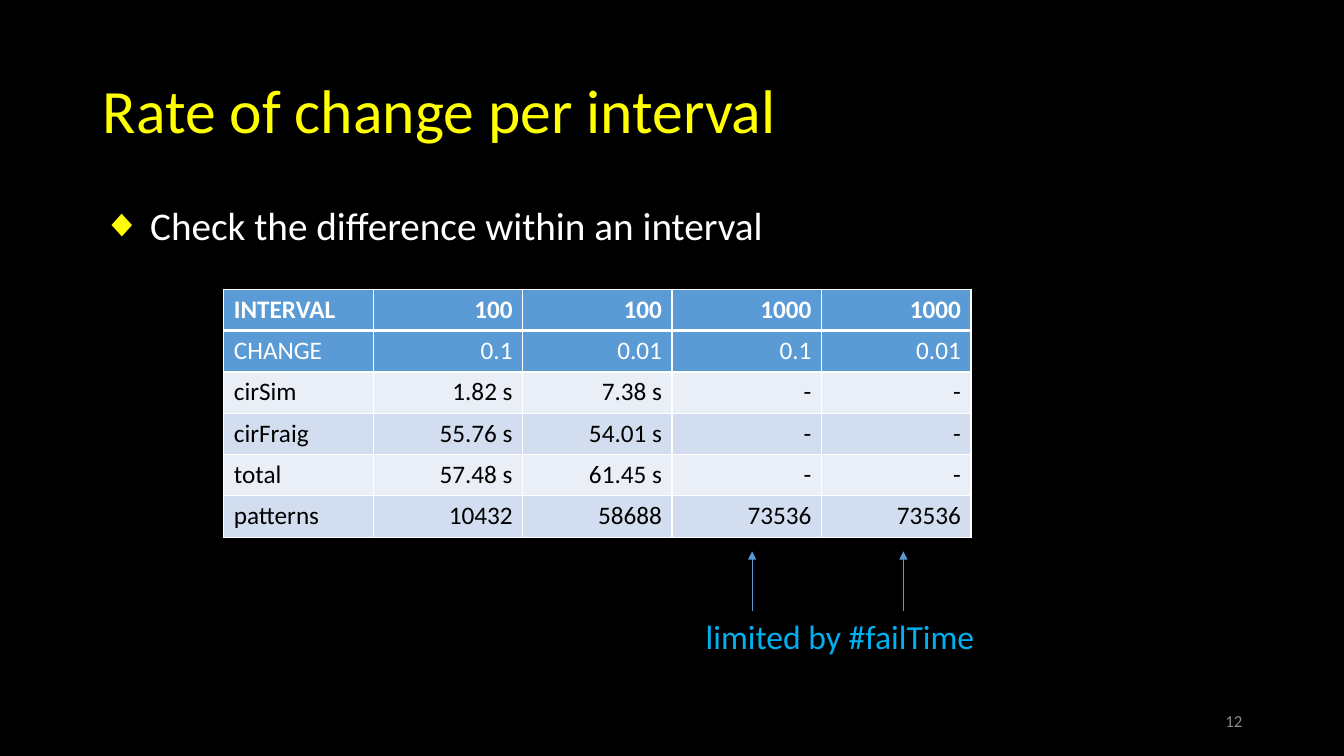
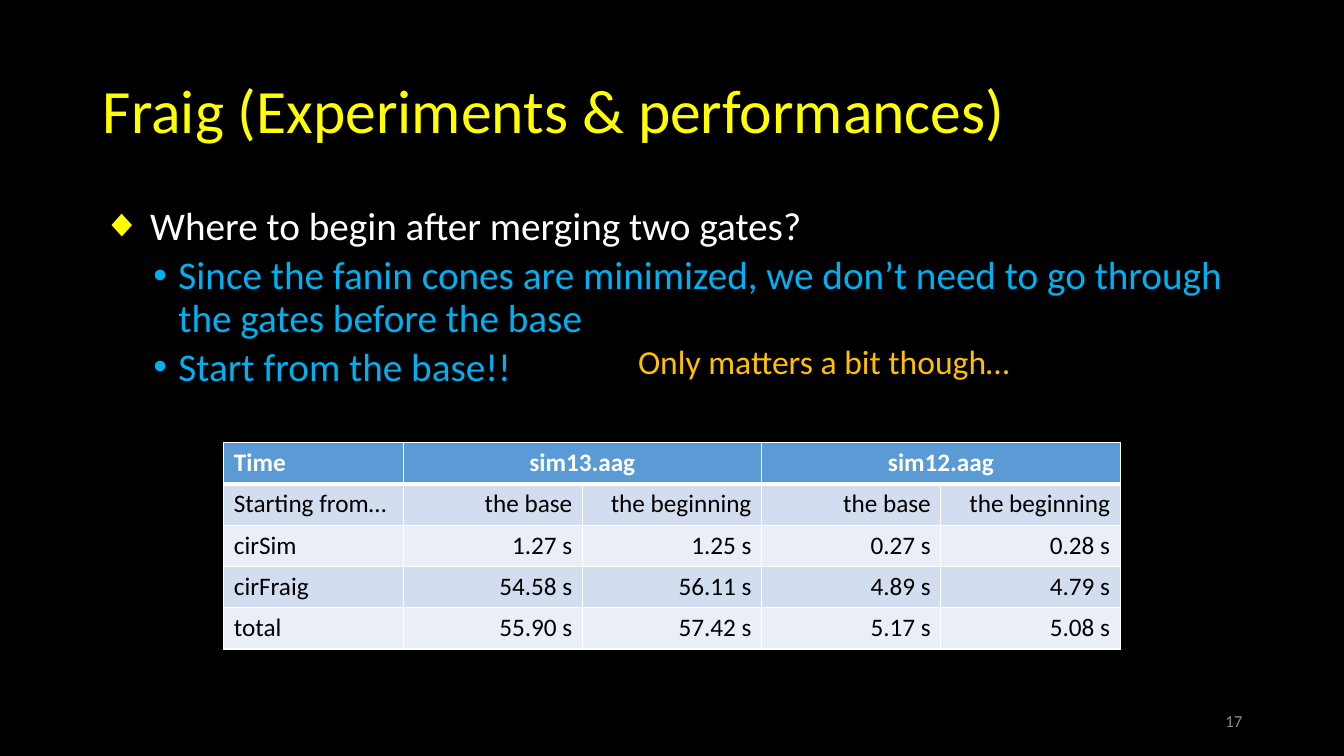
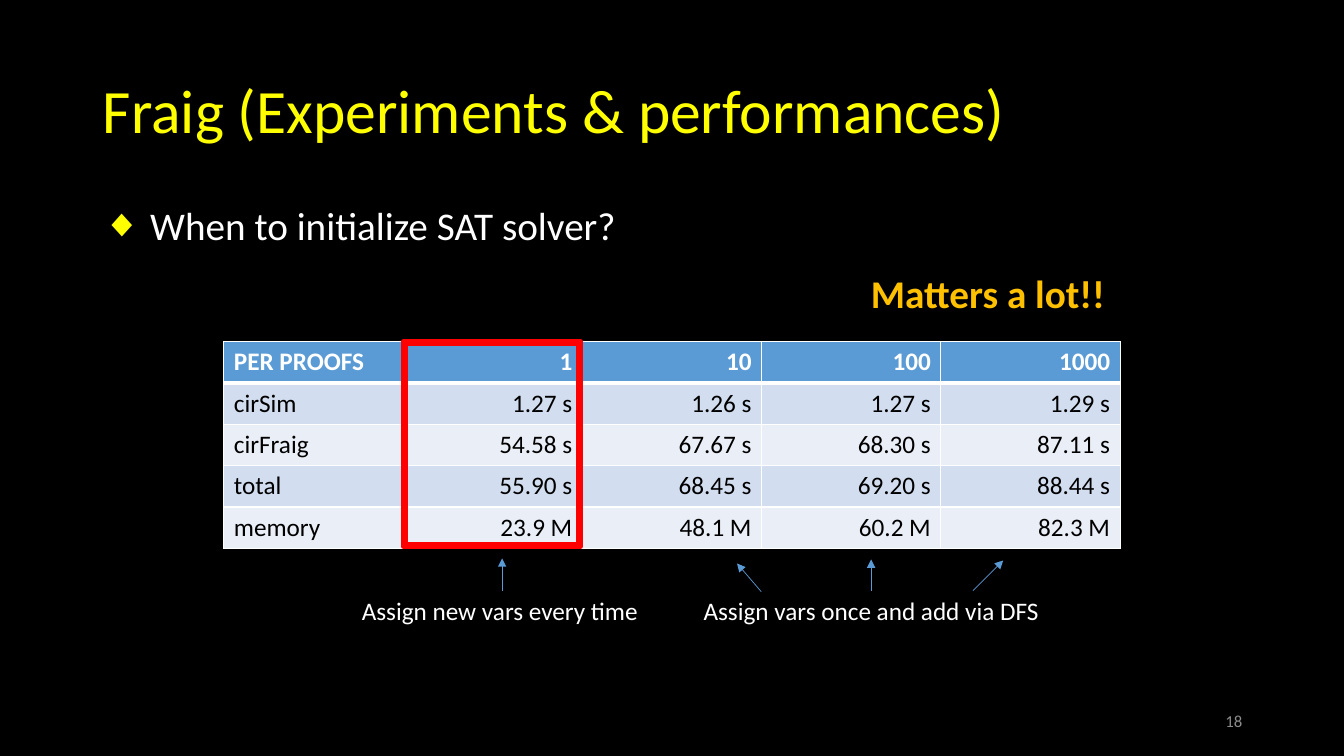
from lxml import etree
from pptx import Presentation
from pptx.dml.color import RGBColor
from pptx.enum.shapes import MSO_CONNECTOR, MSO_SHAPE
from pptx.enum.text import MSO_ANCHOR, MSO_AUTO_SIZE, PP_ALIGN
from pptx.oxml.ns import qn
from pptx.util import Inches, Pt

FONT = "Calibri"
BLACK, WHITE, YELLOW = "000000", "FFFFFF", "FFFF00"
BLUE, CYAN, AMBER, RED, GRAY = "5B9BD5", "00B0F0", "FFC000", "FF0000", "8C8C8C"
BANDS = ("EAEFF7", "D2DEEF")
TITLE_BOX = (0.92, 0.4, 11.5, 1.45)
BODY_BOX = (0.92, 2, 11.5, 4.76)
NUMBER_BOX = (9.42, 6.95, 3, 0.4)
TABLE_LEFT, ROW_HEIGHT = 2.22, 0.41
# Bullet character, bullet colour, text colour, left margin, hanging indent, space before
LEVELS = (("◆", YELLOW, WHITE, 0.47, 0.47, 10),
          ("•", CYAN, CYAN, 0.75, 0.25, 5))


def rgb(value):
    """Turn a hex string into a colour."""
    return RGBColor.from_string(value)


def inches(box):
    """Convert a box or a point to lengths."""
    return [Inches(value) for value in box]


def write(paragraph, text, size, color, bold=False, align=PP_ALIGN.LEFT):
    """Put one formatted run into a paragraph."""
    paragraph.alignment = align
    run = paragraph.add_run()
    run.text = text
    run.font.name, run.font.size, run.font.bold = FONT, Pt(size), bold
    run.font.color.rgb = rgb(color)


def add_child(parent, tag, **attributes):
    """Append a DrawingML element to a parent."""
    return etree.SubElement(parent, qn(tag), attributes)


def place(placeholder, box, anchor):
    """Move a placeholder to its box and return its text frame."""
    placeholder.left, placeholder.top, placeholder.width, placeholder.height = inches(box)
    frame = placeholder.text_frame
    frame.auto_size, frame.vertical_anchor = MSO_AUTO_SIZE.NONE, anchor
    return frame


def add_bullets(frame, items):
    """Fill the body with (level, text) items."""
    for index, (level, text) in enumerate(items):
        mark, mark_color, color, margin, hanging, before = LEVELS[level]
        paragraph = frame.add_paragraph() if index else frame.paragraphs[0]
        paragraph.level = level
        paragraph.line_spacing, paragraph.space_before = 0.9, Pt(before)
        write(paragraph, text, 28, color)
        props = paragraph._p.get_or_add_pPr()
        props.set("marL", str(Inches(margin)))
        props.set("indent", str(-Inches(hanging)))
        add_child(add_child(props, "a:buClr"), "a:srgbClr", val=mark_color)
        add_child(props, "a:buFont", typeface="Arial")
        add_child(props, "a:buChar", char=mark)


def add_note(slide, box, text, size, color, bold=False):
    """Add a one-line label that does not wrap."""
    frame = slide.shapes.add_textbox(*inches(box)).text_frame
    frame.word_wrap, frame.auto_size = False, MSO_AUTO_SIZE.SHAPE_TO_FIT_TEXT
    write(frame.paragraphs[0], text, size, color, bold)


def add_arrow(slide, start, end):
    """Draw a thin arrow that points at its end."""
    arrow = slide.shapes.add_connector(MSO_CONNECTOR.STRAIGHT, *inches(start + end))
    arrow.line.color.rgb, arrow.line.width = rgb(BLUE), Pt(0.5)
    add_child(arrow.line._get_or_add_ln(), "a:tailEnd", type="triangle")
    add_child(arrow._element.spPr, "a:effectLst")


def set_borders(cell, top, bottom):
    """Give a cell white borders, with its own top and bottom widths."""
    props = cell._tc.get_or_add_tcPr()
    for side, width in (("L", 1), ("R", 1), ("T", top), ("B", bottom)):
        line = add_child(props, "a:ln" + side, w=str(Pt(width)))
        add_child(add_child(line, "a:solidFill"), "a:srgbClr", val=WHITE)


def add_table(slide, top, width, rows, blue_rows=1, merges=()):
    """Add a table; merges lists header column pairs shown as one centred cell."""
    count = len(rows[0])
    box = (TABLE_LEFT, top, width, ROW_HEIGHT * len(rows))
    table = slide.shapes.add_table(len(rows), count, *inches(box)).table
    table.horz_banding = False
    for column in table.columns:
        column.width = Inches(width / count)
    for first, last in merges:
        table.cell(0, first).merge(table.cell(0, last))
    centred = {first for first, _ in merges}
    for r, row in enumerate(rows):
        table.rows[r].height = Inches(ROW_HEIGHT)
        for c, text in enumerate(row):
            cell = table.cell(r, c)
            set_borders(cell, 3 if r == 1 else 1, 3 if r == 0 else 1)
            cell.fill.solid()
            cell.fill.fore_color.rgb = rgb(BLUE if r < blue_rows else BANDS[r % 2])
            if cell.is_spanned:
                continue
            align = PP_ALIGN.RIGHT if c else PP_ALIGN.LEFT
            if r == 0 and c in centred:
                align = PP_ALIGN.CENTER
            color = WHITE if r < blue_rows else BLACK
            write(cell.text_frame.paragraphs[0], text, 18, color, r == 0, align)


def add_highlight(slide, box):
    """Mark a table column with a red frame."""
    frame = slide.shapes.add_shape(MSO_SHAPE.FRAME, *inches(box))
    frame.adjustments[0] = 0.013
    frame.shadow.inherit = False
    frame.fill.solid()
    frame.fill.fore_color.rgb = frame.line.color.rgb = rgb(RED)
    frame.line.width = Pt(3.5)


def add_base(prs, title, bullets, number):
    """Add a slide with its title, bullet list and slide number."""
    slide = prs.slides.add_slide(prs.slide_layouts[1])
    heading = place(slide.shapes.title, TITLE_BOX, MSO_ANCHOR.MIDDLE).paragraphs[0]
    heading.line_spacing = 0.9
    write(heading, title, 44, YELLOW)
    add_bullets(place(slide.placeholders[1], BODY_BOX, MSO_ANCHOR.TOP), bullets)
    footer = slide.shapes.add_textbox(*inches(NUMBER_BOX)).text_frame
    footer.word_wrap, footer.vertical_anchor = True, MSO_ANCHOR.MIDDLE
    write(footer.paragraphs[0], str(number), 12, GRAY, align=PP_ALIGN.RIGHT)
    return slide


def build_interval_slide(prs):
    """Compare change rates per interval."""
    slide = add_base(prs, "Rate of change per interval",
                     [(0, "Check the difference within an interval")], 12)
    add_table(slide, 2.87, 7.41, [
        ("INTERVAL", "100", "100", "1000", "1000"),
        ("CHANGE", "0.1", "0.01", "0.1", "0.01"),
        ("cirSim", "1.82 s", "7.38 s", "-", "-"),
        ("cirFraig", "55.76 s", "54.01 s", "-", "-"),
        ("total", "57.48 s", "61.45 s", "-", "-"),
        ("patterns", "10432", "58688", "73536", "73536"),
    ], blue_rows=2)
    for x in (7.46, 8.96):
        add_arrow(slide, (x, 6.06), (x, 5.47))
    add_note(slide, (6.9, 6.06, 2.89, 0.5), "limited by #failTime", 24, CYAN)


def build_start_slide(prs):
    """Compare the starting points after a merge."""
    slide = add_base(prs, "Fraig (Experiments & performances)", [
        (0, "Where to begin after merging two gates?"),
        (1, "Since the fanin cones are minimized, we don’t need to go through "
            "the gates before the base"),
        (1, "Start from the base!!"),
    ], 17)
    add_table(slide, 4.39, 8.89, [
        ("Time", "sim13.aag", "", "sim12.aag", ""),
        ("Starting from…", "the base", "the beginning", "the base", "the beginning"),
        ("cirSim", "1.27 s", "1.25 s", "0.27 s", "0.28 s"),
        ("cirFraig", "54.58 s", "56.11 s", "4.89 s", "4.79 s"),
        ("total", "55.90 s", "57.42 s", "5.17 s", "5.08 s"),
    ], merges=((1, 2), (3, 4)))
    add_note(slide, (6.23, 3.33, 3.93, 0.5), "Only matters a bit though…", 24, AMBER)


def build_solver_slide(prs):
    """Compare how often the solver is initialized."""
    slide = add_base(prs, "Fraig (Experiments & performances)",
                     [(0, "When to initialize SAT solver?")], 18)
    top = 3.39
    add_table(slide, top, 8.89, [
        ("PER PROOFS", "1", "10", "100", "1000"),
        ("cirSim", "1.27 s", "1.26 s", "1.27 s", "1.29 s"),
        ("cirFraig", "54.58 s", "67.67 s", "68.30 s", "87.11 s"),
        ("total", "55.90 s", "68.45 s", "69.20 s", "88.44 s"),
        ("memory", "23.9 M", "48.1 M", "60.2 M", "82.3 M"),
    ])
    add_note(slide, (3.49, 5.86, 2.97, 0.4), "Assign new vars every time", 18, WHITE)
    add_note(slide, (6.88, 5.86, 3.57, 0.4), "Assign vars once and add via DFS", 18, WHITE)
    for start, end in (((4.98, 5.86), (4.98, 5.54)), ((8.64, 5.86), (8.64, 5.55)),
                       ((9.65, 5.86), (9.95, 5.56)), ((7.55, 5.87), (7.31, 5.59))):
        add_arrow(slide, start, end)
    add_note(slide, (8.54, 2.62, 2.56, 0.57), "Matters a lot!!", 28, AMBER, bold=True)
    add_highlight(slide, (4, top, 1.76, 2.03))


def main():
    """Build and save the presentation."""
    prs = Presentation()
    prs.slide_width, prs.slide_height = Inches(13.33), Inches(7.5)
    backdrop = prs.slide_master.background.fill
    backdrop.solid()
    backdrop.fore_color.rgb = rgb(BLACK)
    for build in (build_interval_slide, build_start_slide, build_solver_slide):
        build(prs)
    prs.save("out.pptx")


main()
